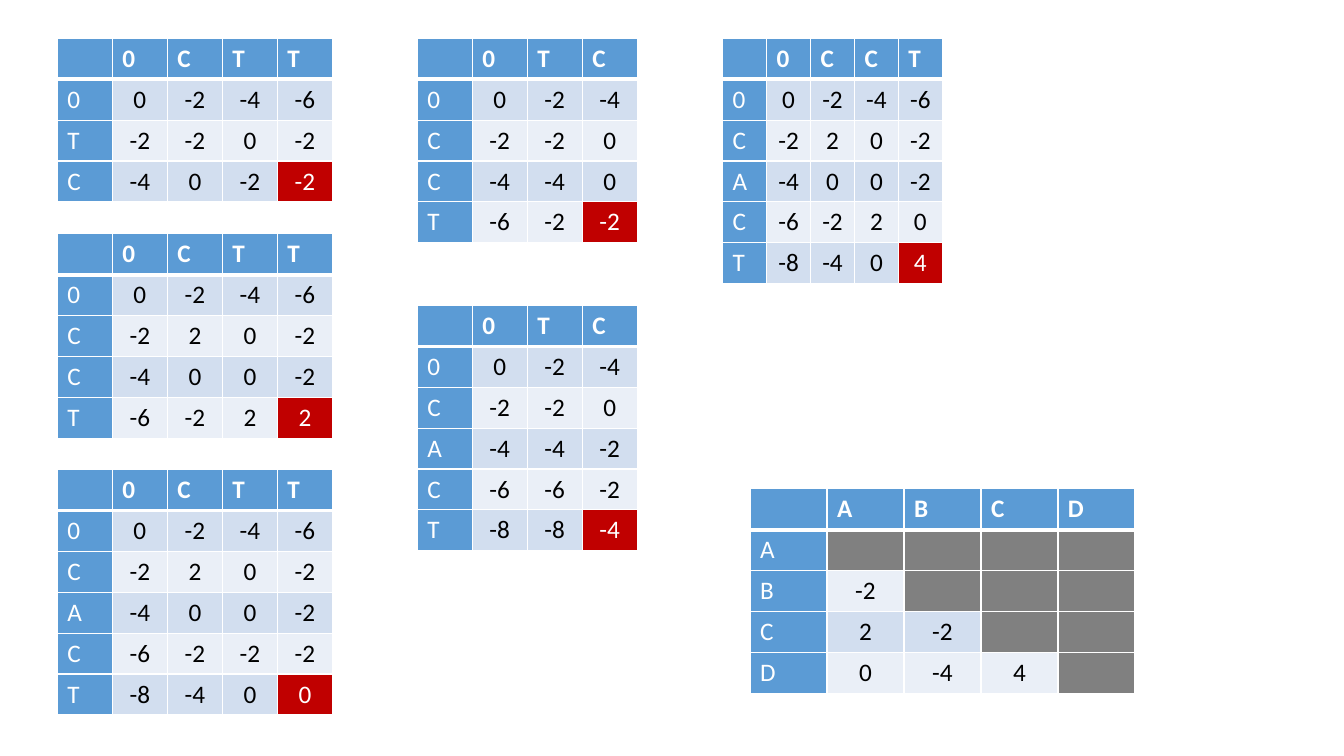
from dataclasses import dataclass

from lxml import etree
from pptx import Presentation
from pptx.dml.color import RGBColor
from pptx.enum import text
from pptx.oxml import ns
from pptx.util import Pt

WHITE, BLACK = "FFFFFF", "000000"
HEADER, BEST, UNUSED = "5B9BD5", "C00000", "808080"
BANDS = ("D2DEEF", "EAEFF7")
ROW_HEIGHT = 29.2
WIDE, NARROW, SUMMARY = 39.3, 31.4, 55
LEFT, MIDDLE, RIGHT, TOP = 41, 298, 516.2, 27.4


@dataclass(frozen=True)
class Matrix:
    left: float
    top: float
    column_width: float
    across: str
    down: str
    scores: tuple[tuple[int, ...], ...]
    mark_last: bool = True


MATRICES = (
    Matrix(LEFT, TOP, WIDE, "0CTT", "0TC",
           ((0, -2, -4, -6), (-2, -2, 0, -2), (-4, 0, -2, -2))),
    Matrix(LEFT, 167, WIDE, "0CTT", "0CCT",
           ((0, -2, -4, -6), (-2, 2, 0, -2), (-4, 0, 0, -2), (-6, -2, 2, 2))),
    Matrix(LEFT, 335.5, WIDE, "0CTT", "0CACT",
           ((0, -2, -4, -6), (-2, 2, 0, -2), (-4, 0, 0, -2),
            (-6, -2, -2, -2), (-8, -4, 0, 0))),
    Matrix(MIDDLE, TOP, WIDE, "0TC", "0CCT",
           ((0, -2, -4), (-2, -2, 0), (-4, -4, 0), (-6, -2, -2))),
    Matrix(MIDDLE, 218.2, WIDE, "0TC", "0CACT",
           ((0, -2, -4), (-2, -2, 0), (-4, -4, -2), (-6, -6, -2), (-8, -8, -4))),
    Matrix(RIGHT, TOP, NARROW, "0CCT", "0CACT",
           ((0, -2, -4, -6), (-2, 2, 0, -2), (-4, 0, 0, -2),
            (-6, -2, 2, 0), (-8, -4, 0, 4))),
    Matrix(535.7, 349.2, SUMMARY, "ABCD", "ABCD",
           ((), (-2,), (2, -2), (0, -4, 4)), mark_last=False),
)


def color(value: str) -> RGBColor:
    return RGBColor.from_string(value)


def add_borders(cell, row: int) -> None:
    """Outline a cell in white, with a heavy rule below the header row."""
    widths = {"L": 1, "R": 1, "T": 3 if row == 1 else 1, "B": 3 if row == 0 else 1}
    properties = cell._tc.get_or_add_tcPr()
    for side, width in widths.items():
        line = etree.SubElement(properties, ns.qn(f"a:ln{side}"), w=str(Pt(width)))
        fill = etree.SubElement(line, ns.qn("a:solidFill"))
        etree.SubElement(fill, ns.qn("a:srgbClr"), val=WHITE)


def write_cell(cell, words: str, *, fill: str, ink: str = WHITE,
               bold: bool = False, centered: bool = False) -> None:
    cell.fill.solid()
    cell.fill.fore_color.rgb = color(fill)
    para = cell.text_frame.paragraphs[0]
    para.alignment = text.PP_ALIGN.CENTER if centered else text.PP_ALIGN.LEFT
    if words:
        span = para.add_run()
        span.text = words
        span.font.name, span.font.size = "Calibri", Pt(18)
        span.font.bold = bold
        span.font.color.rgb = color(ink)


def add_matrix(page, matrix: Matrix) -> None:
    rows, columns = len(matrix.down) + 1, len(matrix.across) + 1
    table = page.shapes.add_table(
        rows, columns, Pt(matrix.left), Pt(matrix.top),
        Pt(columns * matrix.column_width), Pt(rows * ROW_HEIGHT)).table
    for column in table.columns:
        column.width = Pt(matrix.column_width)
    for line in table.rows:
        line.height = Pt(ROW_HEIGHT)

    for row in range(rows):
        for column in range(columns):
            cell = table.cell(row, column)
            add_borders(cell, row)
            if row == 0:
                label = matrix.across[column - 1] if column else ""
                write_cell(cell, label, fill=HEADER, bold=True)
            elif column == 0:
                write_cell(cell, matrix.down[row - 1], fill=HEADER)
            elif column > len(matrix.scores[row - 1]):
                write_cell(cell, "", fill=UNUSED)
            else:
                score = str(matrix.scores[row - 1][column - 1])
                is_last = (row, column) == (rows - 1, columns - 1)
                if matrix.mark_last and is_last:
                    write_cell(cell, score, fill=BEST, centered=True)
                else:
                    write_cell(cell, score, fill=BANDS[(row - 1) % 2],
                               ink=BLACK, centered=True)


def main() -> None:
    deck = Presentation()
    deck.slide_width, deck.slide_height = Pt(960), Pt(540)
    page = deck.slides.add_slide(deck.slide_layouts[6])
    for matrix in MATRICES:
        add_matrix(page, matrix)
    deck.save("out.pptx")


if __name__ == "__main__":
    main()
